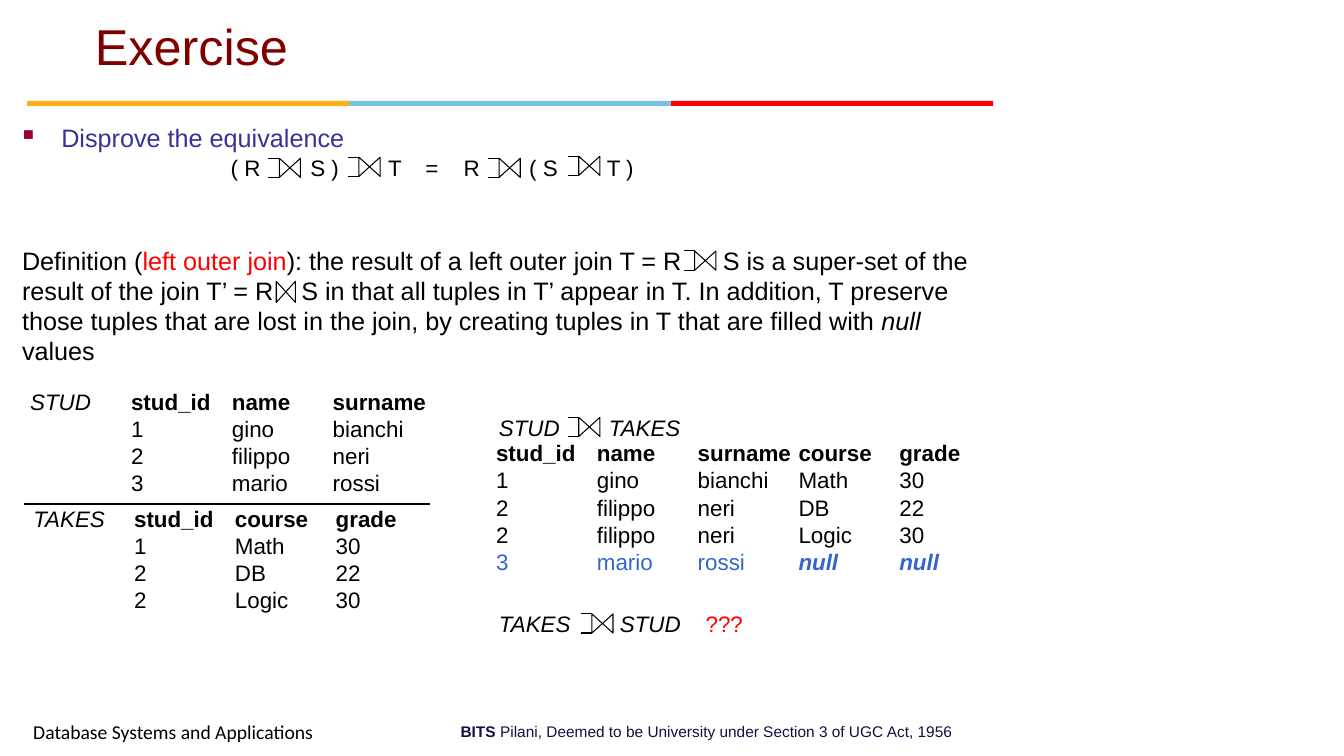
from dataclasses import dataclass

from lxml import etree
from pptx import Presentation
from pptx.dml.color import RGBColor
from pptx.enum.shapes import MSO_CONNECTOR, MSO_SHAPE
from pptx.enum.text import MSO_ANCHOR, PP_ALIGN
from pptx.oxml.ns import qn
from pptx.util import Emu, Inches, Pt

STRAIGHT = MSO_CONNECTOR.STRAIGHT
RECTANGLE, COLLATE = MSO_SHAPE.RECTANGLE, MSO_SHAPE.FLOWCHART_COLLATE
LEFT, RIGHT = PP_ALIGN.LEFT, PP_ALIGN.RIGHT
MIDDLE, BOTTOM = MSO_ANCHOR.MIDDLE, MSO_ANCHOR.BOTTOM
NO_GRID_STYLE = "{2D5ABB26-0587-4C30-8999-92F81FD0307C}"


@dataclass(frozen=True)
class Theme:
    font: str = "Arial"
    footer_font: str = "Calibri"
    title: int = 36
    body: int = 18
    data: int = 16
    course: int = 14
    institute: int = 11
    ink: str = "000000"
    maroon: str = "800000"
    heading: str = "333399"
    bullet: str = "990033"
    red: str = "FF0000"
    dangling: str = "3366CC"
    navy: str = "101141"
    stripes: tuple = ("FCB017", "76C2E5", "FF0000")


THEME = Theme()
COLUMN, ROW = 1, 0.27  # grid of the relations, in inches
JOIN_W, JOIN_H, ARM = 0.21, 0.19, 0.11  # bow tie and its outer arms


def rgb(value):
    return RGBColor.from_string(value)


def set_font(font, size, color=THEME.ink, name=THEME.font):
    font.name, font.size = name, Pt(size)
    font.color.rgb = rgb(color)


def add_tabs(paragraph, stops):
    tab_list = etree.SubElement(paragraph._p.get_or_add_pPr(), qn("a:tabLst"))
    for stop in stops:
        etree.SubElement(tab_list, qn("a:tab"), pos=str(Inches(stop)), algn="l")


def add_bullet(paragraph, indent):
    props = paragraph._p.get_or_add_pPr()
    props.set("marL", str(Inches(indent)))
    props.set("indent", str(-Inches(indent)))
    color = etree.SubElement(props, qn("a:buClr"))
    etree.SubElement(color, qn("a:srgbClr"), val=THEME.bullet)
    etree.SubElement(props, qn("a:buSzPct"), val="60000")
    etree.SubElement(props, qn("a:buChar"), char="■")


def add_text(slide, box, runs, size, color=THEME.ink, name=THEME.font, tabs=(), bullet=0):
    """Each run is (text, {font attribute: value}); tab stops are in inches."""
    frame = slide.shapes.add_textbox(*map(Inches, box)).text_frame
    frame.word_wrap = True
    paragraph = frame.paragraphs[0]
    if bullet:
        add_bullet(paragraph, bullet)
    if tabs:
        add_tabs(paragraph, tabs)
    set_font(paragraph.font, size, color, name)
    for text, changes in runs:
        run = paragraph.add_run()
        run.text = text
        for key, value in changes.items():
            if key == "color":
                run.font.color.rgb = rgb(value)
            else:
                setattr(run.font, key, value)
    return frame


def add_line(slide, x1, y1, x2, y2):
    line = slide.shapes.add_connector(STRAIGHT, *map(Inches, (x1, y1, x2, y2)))
    line.line.color.rgb, line.line.width = rgb(THEME.ink), Pt(0.75)
    etree.SubElement(line._element.spPr, qn("a:effectLst"))


def add_bow_tie(slide, x, y, width, height):
    # The preset stands upright, so it is turned about its centre
    box = (x + (width - height) / 2, y + (height - width) / 2, height, width)
    tie = slide.shapes.add_shape(COLLATE, *map(Inches, box))
    tie.rotation = 90
    tie.shadow.inherit = False
    tie.fill.background()
    tie.line.color.rgb, tie.line.width = rgb(THEME.ink), Pt(0.75)


def add_left_join(slide, x, y):
    add_bow_tie(slide, x + ARM, y, JOIN_W, JOIN_H)
    for arm_y in (y, y + JOIN_H):
        add_line(slide, x, arm_y, x + ARM, arm_y)


def add_expression(slide, box, runs, size, tabs, joins):
    """Text with left outer joins at offsets from the box's corner."""
    add_text(slide, box, runs, size, tabs=tabs)
    for dx, dy in joins:
        add_left_join(slide, box[0] + dx, box[1] + dy)


def add_relation(slide, x, y, rows, label=False, dangling=None):
    """Header row is bold; a label column holds the relation's name."""
    count = len(rows[0])
    frame = slide.shapes.add_table(len(rows), count, Inches(x), Inches(y),
                                   Inches(count * COLUMN), Inches(len(rows) * ROW))
    table = frame.table
    table.first_row = table.horz_banding = False
    table._tbl.tblPr.find(qn("a:tableStyleId")).text = NO_GRID_STYLE
    for r, values in enumerate(rows):
        table.rows[r].height = Inches(ROW)
        for c, value in enumerate(values):
            cell = table.cell(r, c)
            cell.fill.background()
            cell.margin_left = cell.margin_right = Emu(0)
            cell.margin_top = cell.margin_bottom = Emu(0)
            cell.text = value
            font = cell.text_frame.paragraphs[0].font
            set_font(font, THEME.data, THEME.dangling if r == dangling else THEME.ink)
            is_label, is_null = label and c == 0, value == "null"
            font.bold = (r == 0 and not is_label) or is_null
            font.italic = is_label or is_null


def add_header(slide, box):
    x, y, width, height = box
    title = slide.shapes.title
    title.left, title.top, title.width, title.height = map(
        Inches, (x + 0.57, y + 0.13, 8.83, 0.67))
    frame = title.text_frame
    frame.text, frame.vertical_anchor = "Exercise", BOTTOM
    frame.paragraphs[0].alignment = LEFT
    set_font(frame.paragraphs[0].font, THEME.title, THEME.maroon)
    # Three-coloured rule
    stripe = width / len(THEME.stripes)
    for i, color in enumerate(THEME.stripes):
        bar = slide.shapes.add_shape(RECTANGLE, *map(
            Inches, (x + i * stripe, y + height - 0.05, stripe, 0.05)))
        bar.shadow.inherit = False
        bar.fill.solid()
        bar.fill.fore_color.rgb = rgb(color)
        bar.line.fill.background()


def add_task(slide, box):
    x, y, width, _ = box
    add_text(slide, (x, y, width, 0.4), [("Disprove the equivalence", {})],
             THEME.body, THEME.heading, bullet=0.38)
    add_expression(slide, (x + 2.06, y + 0.32, 4.32, 0.37),
                   [("( R\tS )\tT\t=\tR\t( S\tT )", {})], THEME.data,
                   (0.79, 1.56, 1.93, 2.31, 2.96, 3.73),
                   ((0.47, 0.09), (1.26, 0.08), (2.65, 0.09), (3.44, 0.07)))


def add_definition(slide, box):
    runs = [("Definition (", {}), ("left outer join", {"color": THEME.red}),
            ("): the result of a left outer join T = R\tS is a super-set of the "
             "result of the join T’ = R\tS in that all tuples in T’ appear in T. "
             "In addition, T preserve those tuples that are lost in the join, by "
             "creating tuples in T that are filled with ", {}),
            ("null", {"italic": True}), (" values", {})]
    add_expression(slide, box, runs, THEME.body, (2.77, 6.95), [(6.66, 0.11)])
    add_bow_tie(slide, box[0] + 2.62, box[1] + 0.41, 0.19, 0.21)


def add_sources(slide, box):
    x, y, width, _ = box
    add_relation(slide, x + 0.06, y, [
        ("STUD", "stud_id", "name", "surname"), ("", "1", "gino", "bianchi"),
        ("", "2", "filippo", "neri"), ("", "3", "mario", "rossi")], label=True)
    add_line(slide, x, y + 1.13, x + width, y + 1.13)
    add_relation(slide, x + 0.09, y + 1.16, [
        ("TAKES", "stud_id", "course", "grade"), ("", "1", "Math", "30"),
        ("", "2", "DB", "22"), ("", "2", "Logic", "30")], label=True)


def add_results(slide, box):
    x, y, width, height = box
    add_expression(slide, (x, y, width, 0.37), [("STUD\tTAKES", {"italic": True})],
                   THEME.data, [1.09], [(0.78, 0.08)])
    add_relation(slide, x + 0.07, y + 0.32, [
        ("stud_id", "name", "surname", "course", "grade"),
        ("1", "gino", "bianchi", "Math", "30"), ("2", "filippo", "neri", "DB", "22"),
        ("2", "filippo", "neri", "Logic", "30"),
        ("3", "mario", "rossi", "null", "null")], dangling=4)
    add_expression(slide, (x, y + height - 0.37, width, 0.37),
                   [("TAKES\tSTUD\t", {"italic": True}), ("???", {"color": THEME.red})],
                   THEME.data, (1.2, 2.05), [(0.91, 0.09)])


def add_footer(slide, box):
    x, y, width, height = box
    course = add_text(slide, (x, y, 3.2, height), [("Database Systems and Applications", {})],
                      THEME.course, name=THEME.footer_font)
    course.margin_left = course.margin_top = course.margin_bottom = Emu(0)
    course.vertical_anchor = MIDDLE
    institute = add_text(
        slide, (x + width - 5.3, y, 5.3, height),
        [("BITS ", {"bold": True}),
         ("Pilani, Deemed to be University under Section 3 of UGC Act, 1956", {})],
        THEME.institute, THEME.navy)
    institute.paragraphs[0].alignment = RIGHT


def main():
    deck = Presentation()
    deck.slide_width, deck.slide_height = Inches(13.33), Inches(7.5)
    slide = deck.slides.add_slide(deck.slide_layouts[5])
    add_header(slide, (0.27, 0, 9.58, 1.05))
    add_task(slide, (0.13, 1.16, 9.66, 0.71))
    add_definition(slide, (0.12, 2.38, 9.65, 1.31))
    add_sources(slide, (0.24, 3.87, 4.02, 2.24))
    add_results(slide, (4.85, 4.06, 4.88, 2.31))
    add_footer(slide, (0.33, 7.11, 9.22, 0.29))
    deck.save("out.pptx")


if __name__ == "__main__":
    main()
